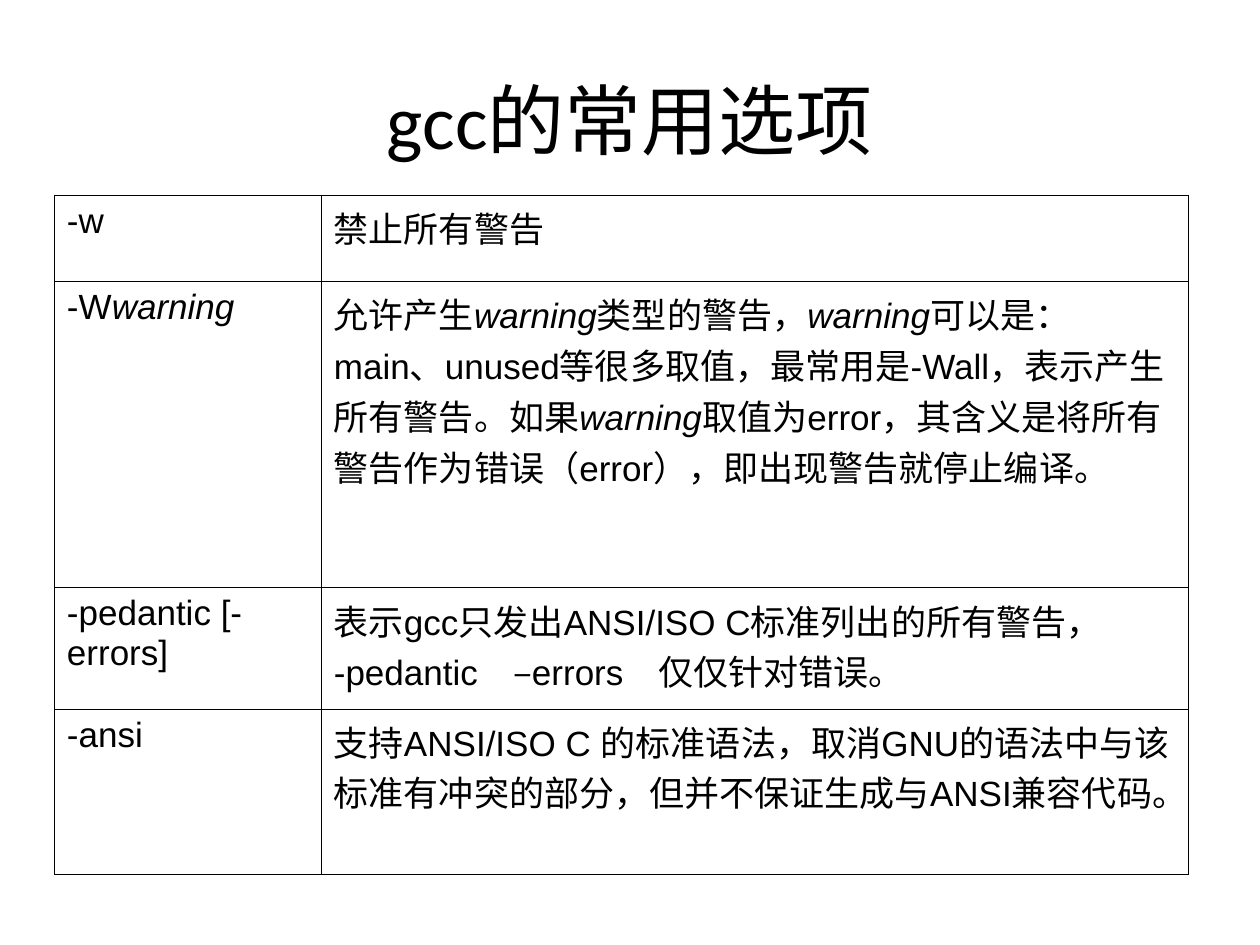
from lxml import etree
from pptx import Presentation
from pptx.dml.color import RGBColor
from pptx.enum import text
from pptx.oxml.ns import qn
from pptx.util import Cm, Pt

# Content: each cell is a list of (text, italic) runs
TITLE = "gcc的常用选项"
OPTIONS = [
    ([("-w", False)], [("禁止所有警告", False)]),
    (
        [("-W", False), ("warning", True)],
        [
            ("允许产生", False),
            ("warning", True),
            ("类型的警告，", False),
            ("warning", True),
            ("可以是：main、unused等很多取值，最常用是-Wall，表示产生所有警告。如果", False),
            ("warning", True),
            ("取值为error，其含义是将所有警告作为错误（error），即出现警告就停止编译。", False),
        ],
    ),
    (
        [("-pedantic [-errors]", False)],
        [("表示gcc只发出ANSI/ISO C标准列出的所有警告， -pedantic　–errors　仅仅针对错误。", False)],
    ),
    (
        [("-ansi", False)],
        [("支持ANSI/ISO C 的标准语法，取消GNU的语法中与该标准有冲突的部分，但并不保证生成与ANSI兼容代码。", False)],
    ),
]
COLUMN_WIDTHS = [5.38, 17.48]
ROW_HEIGHTS = [1.75, 6.17, 2.44, 3.33]
COLORS = {"ink": "000000"}
BORDER = Pt(0.45)


def add_run(paragraph, words, font_name, size, italic=False):
    run = paragraph.add_run()
    run.text = words
    run.font.name = font_name
    run.font.size = Pt(size)
    run.font.italic = italic
    run.font.color.rgb = RGBColor.from_string(COLORS["ink"])


def add_borders(cell):
    properties = cell._tc.get_or_add_tcPr()
    for position, side in enumerate(("lnL", "lnR", "lnT", "lnB")):
        line = etree.Element(qn(f"a:{side}"), w=str(int(BORDER)))
        fill = etree.SubElement(line, qn("a:solidFill"))
        etree.SubElement(fill, qn("a:srgbClr"), val=COLORS["ink"])
        properties.insert(position, line)


def fill_cell(cell, runs):
    cell.margin_left = cell.margin_right = Cm(0.25)
    cell.margin_top = cell.margin_bottom = Cm(0.13)
    cell.fill.background()
    add_borders(cell)
    for words, italic in runs:
        add_run(cell.text_frame.paragraphs[0], words, "Arial", 20, italic)


presentation = Presentation()
presentation.slide_width, presentation.slide_height = Cm(25.4), Cm(19.05)
slide = presentation.slides.add_slide(presentation.slide_layouts[6])

# Title
title = slide.shapes.add_textbox(Cm(1.27), Cm(1.27), Cm(22.86), Cm(2.26))
title.text_frame.word_wrap = True
title.text_frame.vertical_anchor = text.MSO_ANCHOR.MIDDLE
heading = title.text_frame.paragraphs[0]
heading.alignment = text.PP_ALIGN.CENTER
add_run(heading, TITLE, "Calibri", 44)

# Option table
table = slide.shapes.add_table(
    len(OPTIONS), len(COLUMN_WIDTHS), Cm(1.1), Cm(3.93),
    Cm(sum(COLUMN_WIDTHS)), Cm(sum(ROW_HEIGHTS)),
).table
table.first_row = table.horz_banding = False
for column, width in zip(table.columns, COLUMN_WIDTHS):
    column.width = Cm(width)
for row, height, option in zip(table.rows, ROW_HEIGHTS, OPTIONS):
    row.height = Cm(height)
    for cell, runs in zip(row.cells, option):
        fill_cell(cell, runs)

presentation.save("out.pptx")
